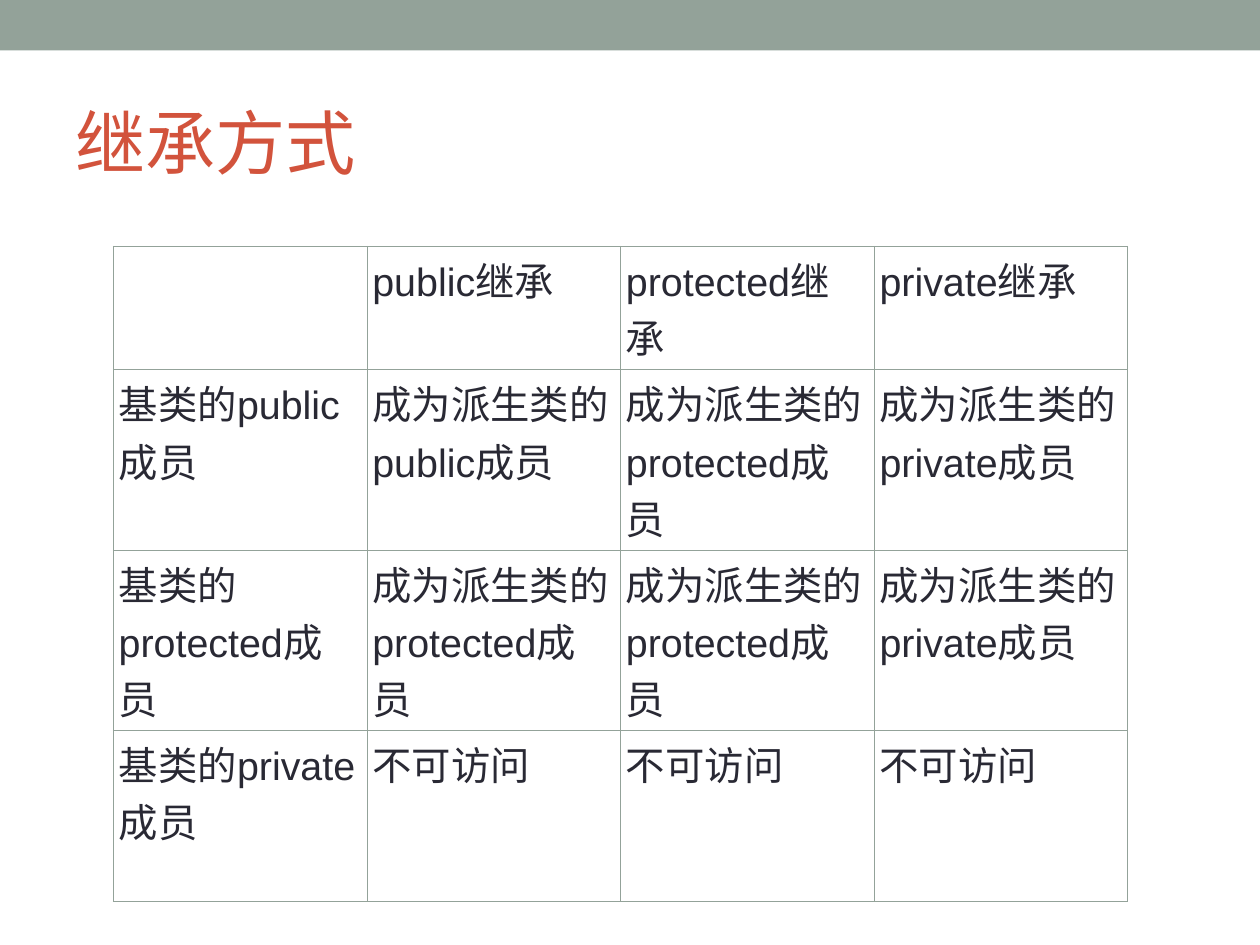
from lxml.etree import SubElement
from pptx import Presentation
from pptx.dml.color import RGBColor
from pptx.enum.shapes import MSO_SHAPE
from pptx.enum.text import MSO_ANCHOR, MSO_AUTO_SIZE, PP_ALIGN
from pptx.oxml.ns import qn
from pptx.util import Inches, Pt

SAGE = RGBColor(0x93, 0xA2, 0x99)
BRICK = RGBColor(0xD2, 0x53, 0x3C)
INK = RGBColor(0x29, 0x29, 0x34)
CHINESE_FONT = "Noto Sans CJK SC"

MEMBERS = [
    ["", "public继承", "protected继承", "private继承"],
    ["基类的public成员", "成为派生类的public成员", "成为派生类的protected成员", "成为派生类的private成员"],
    ["基类的protected成员", "成为派生类的protected成员", "成为派生类的protected成员", "成为派生类的private成员"],
    ["基类的private成员"] + ["不可访问"] * 3,
]
ROW_HEIGHTS = [1.18, 1.93, 1.93, 1.93]


def format_run(run, latin_font, size, color):
    run.font.name = latin_font
    run.font.size = Pt(size)
    run.font.color.rgb = color
    SubElement(run.font._element, qn("a:ea"), typeface=CHINESE_FONT)


def add_border(cell, side, width):
    line = SubElement(cell._tc.get_or_add_tcPr(), qn(f"a:ln{side}"), w=str(Pt(width)))
    fill = SubElement(line, qn("a:solidFill"))
    SubElement(fill, qn("a:srgbClr"), val=str(SAGE))


presentation = Presentation()
presentation.slide_width = Inches(14.22)
presentation.slide_height = Inches(10.66)
slide = presentation.slides.add_slide(presentation.slide_layouts[5])

banner = slide.shapes.add_shape(
    MSO_SHAPE.RECTANGLE, 0, 0, presentation.slide_width, Inches(0.57))
banner.shadow.inherit = False
banner.fill.solid()
banner.fill.fore_color.rgb = SAGE
banner.line.fill.background()

title = slide.shapes.title
title.left, title.top = Inches(0.71), Inches(0.83)
title.width, title.height = Inches(12.8), Inches(1.54)
title_frame = title.text_frame
title_frame.text = "继承方式"
title_frame.auto_size = MSO_AUTO_SIZE.NONE
title_frame.vertical_anchor = MSO_ANCHOR.MIDDLE
title_frame.margin_left = title_frame.margin_right = Inches(0.14)
title_frame.margin_top = title_frame.margin_bottom = Inches(0.07)
title_paragraph = title_frame.paragraphs[0]
title_paragraph.alignment = PP_ALIGN.LEFT
format_run(title_paragraph.runs[0], CHINESE_FONT, 57, BRICK)

row_count, column_count = len(MEMBERS), len(MEMBERS[0])
table = slide.shapes.add_table(
    row_count, column_count, Inches(1.28), Inches(2.78),
    Inches(11.45), Inches(sum(ROW_HEIGHTS))).table
table.first_row = False
table.horz_banding = False

for row_index, texts in enumerate(MEMBERS):
    table.rows[row_index].height = Inches(ROW_HEIGHTS[row_index])
    for column_index, text in enumerate(texts):
        cell = table.cell(row_index, column_index)
        cell.margin_left = cell.margin_right = Inches(0.06)
        cell.margin_top = cell.margin_bottom = Inches(0.05)
        outer_sides = {
            "L": column_index == 0,
            "R": column_index == column_count - 1,
            "T": row_index == 0,
            "B": row_index == row_count - 1,
        }
        for side, is_outer in outer_sides.items():
            add_border(cell, side, 1.08 if is_outer else 0.45)
        cell.fill.background()
        cell.text_frame.text = text
        for run in cell.text_frame.paragraphs[0].runs:
            format_run(run, "Arial", 32, INK)

presentation.save("out.pptx")
